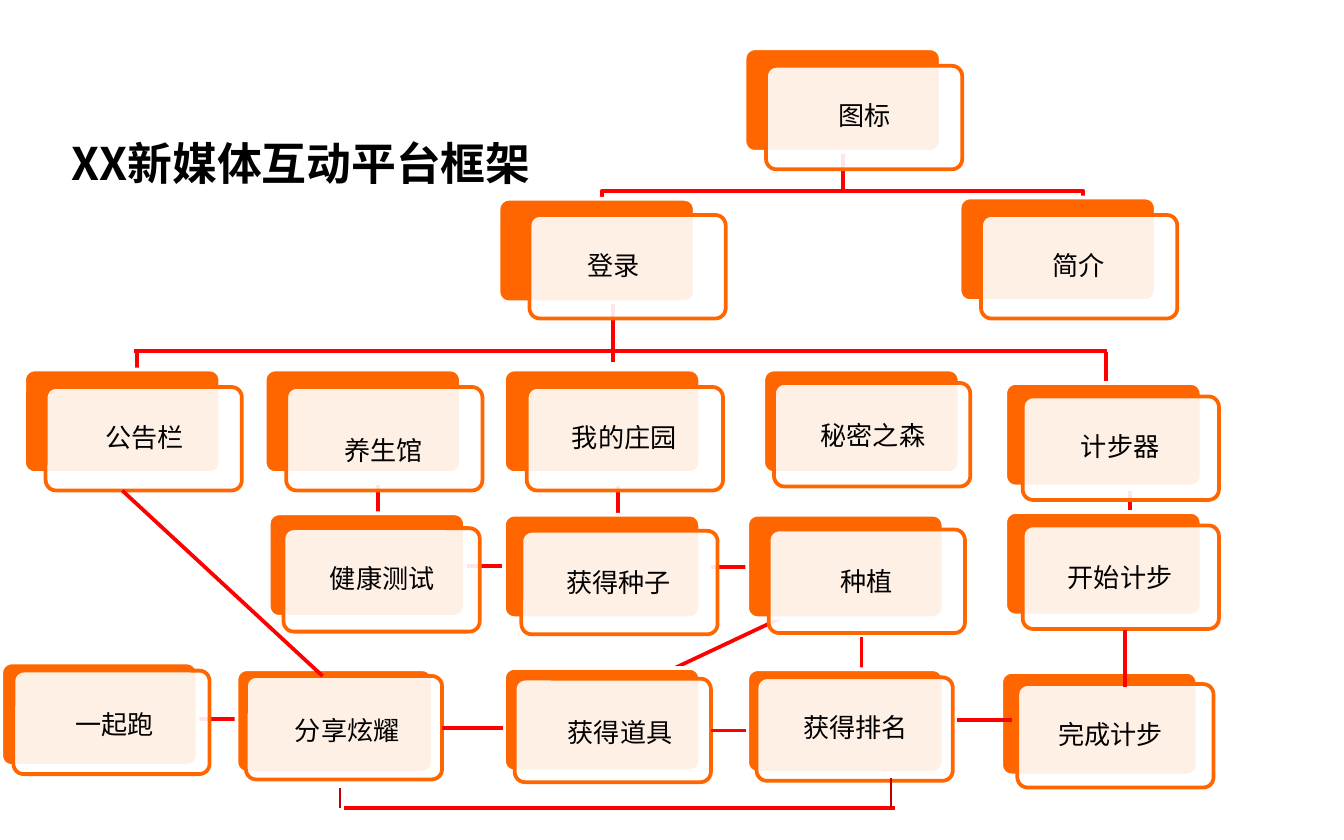
"""Build the framework slide of a new-media interaction platform."""
from lxml.etree import SubElement
from pptx import Presentation
from pptx.dml.color import RGBColor
from pptx.enum.shapes import MSO_CONNECTOR, MSO_SHAPE
from pptx.enum.text import MSO_ANCHOR, MSO_AUTO_SIZE, PP_ALIGN
from pptx.oxml.ns import qn
from pptx.util import Pt

PX = 9144
CARD_WIDTH, CARD_HEIGHT = 146, 77
LABEL_WIDTH, LABEL_HEIGHT = 141, 73
RIGHT_SIDE = 3
FONT = "Noto Sans CJK SC"
ORANGE, WHITE, BLACK, RED, DARK_RED = "FF6600", "FFFFFF", "000000", "FF0000", "C00000"

FORKS = [
    [(627, 113), (627, 142), (806, 142), (806, 156)],
    [(627, 113), (627, 142), (448, 142), (448, 156)],
]
LINKS_BEHIND = [
    (192, 535, 147, 535), (602, 450, 500, 498), (841, 365, 841, 407),
    (570, 422, 529, 422), (335, 421, 406, 421), (456, 226, 456, 269),
    (102, 260, 102, 302), (641, 474, 641, 516), (460, 362, 460, 403),
    (100, 261, 824, 261), (823, 262, 823, 305), (281, 361, 281, 404),
]
LINKS_IN_FRONT = [
    (256, 601, 666, 601), (837, 469, 837, 511),
    (753, 536, 712, 536), (240, 503, 91, 365),
]
RETURN_ENDS = [(253, 601, 253, 586), (663, 601, 663, 579)]
CARDS = [
    ("图标", (554, 36), (570, 49), (3, 2)),
    ("登录", (371, 148), (394, 160), (-8, 2)),
    ("简介", (714, 147), (730, 160), (2, 2)),
    ("公告栏", (18, 275), (34, 288), (3, 2)),
    ("养生馆", (197, 275), (213, 288), (2, 12)),
    ("我的庄园", (375, 275), (392, 288), (2, 2)),
    ("秘密之森", (568, 275), (576, 285), (3, 4)),
    ("计步器", (748, 285), (761, 295), (2, 2)),
    ("健康测试", (200, 382), (211, 393), (3, 2)),
    ("获得种子", (375, 383), (388, 395), (2, 3)),
    ("种植", (556, 383), (572, 394), (2, 3)),
    ("开始计步", (748, 381), (761, 391), (2, 3)),
    ("一起跑", (1, 493), (10, 499), (5, 5)),
    ("分享炫耀", (176, 498), (183, 503), (5, 5)),
    ("获得道具", (375, 497), (383, 505), (8, 5)),
    ("获得排名", (556, 498), (563, 504), (3, 2)),
    ("完成计步", (745, 500), (757, 509), (-1, 2)),
]
SIDE_LINKS = [("分享炫耀", 374), ("获得道具", 555)]


def color(value):
    return RGBColor.from_string(value)


def apply(target, values):
    for name, value in values.items():
        setattr(target, name, value)


class FrameworkSlide:
    def __init__(self, presentation):
        self.slide = presentation.slides.add_slide(presentation.slide_layouts[5])
        self.shapes = self.slide.shapes
        self.label_frame = {
            "word_wrap": True, "vertical_anchor": MSO_ANCHOR.MIDDLE,
            **{f"margin_{side}": 6 * PX for side in ("left", "top", "right", "bottom")},
        }
        self.label_paragraph = {
            "alignment": PP_ALIGN.CENTER, "line_spacing": 0.9, "space_after": Pt(5),
        }
        self.label_font = {"name": FONT, "size": Pt(14), "bold": False}
        self.title_frame = {
            "word_wrap": True, "vertical_anchor": MSO_ANCHOR.TOP,
            "auto_size": MSO_AUTO_SIZE.SHAPE_TO_FIT_TEXT,
        }
        self.title_paragraph = {"alignment": PP_ALIGN.LEFT}
        self.title_font = {"name": FONT, "size": Pt(24), "bold": True}

    def wording(self, frame, words, frame_format, paragraph_format, font_format):
        apply(frame, frame_format)
        paragraph = frame.paragraphs[0]
        apply(paragraph, paragraph_format)
        run = paragraph.add_run()
        run.text = words
        apply(run.font, font_format)
        run.font.color.rgb = color(BLACK)
        SubElement(run._r.get_or_add_rPr(), qn("a:ea"), typeface=FONT)

    def stroke(self, line, hue, width=2):
        line.color.rgb = color(hue)
        line.width = Pt(width)

    def title(self, words, left, top, width, height):
        heading = self.shapes.title
        apply(heading, {"left": left * PX, "top": top * PX,
                        "width": width * PX, "height": height * PX})
        self.wording(heading.text_frame, words, self.title_frame,
                     self.title_paragraph, self.title_font)

    def link(self, x1, y1, x2, y2, hue=RED, width=2, start=None):
        connector = self.shapes.add_connector(
            MSO_CONNECTOR.STRAIGHT, x1 * PX, y1 * PX, x2 * PX, y2 * PX)
        if start is not None:
            connector.begin_connect(start, RIGHT_SIDE)
            connector.end_y = connector.begin_y
        self.stroke(connector.line, hue, width)
        SubElement(connector._element.spPr, qn("a:effectLst"))

    def fork(self, points):
        builder = self.shapes.build_freeform(*points[0], scale=PX)
        builder.add_line_segments(points[1:], close=False)
        branch = builder.convert_to_shape()
        branch.shadow.inherit = False
        branch.fill.background()
        self.stroke(branch.line, RED)

    def panel(self, shapes, corner, fill, outline):
        left, top = corner
        panel = shapes.add_shape(MSO_SHAPE.ROUNDED_RECTANGLE, left * PX, top * PX,
                                 CARD_WIDTH * PX, CARD_HEIGHT * PX)
        panel.adjustments[0] = 0.1
        panel.shadow.inherit = False
        panel.fill.solid()
        panel.fill.fore_color.rgb = color(fill)
        self.stroke(panel.line, outline)
        return panel

    def card(self, words, back, front, shift):
        self.panel(self.shapes, back, ORANGE, WHITE)
        group = self.shapes.add_group_shape()
        face = self.panel(group.shapes, front, WHITE, ORANGE)
        face_color = face._element.spPr.find(qn("a:solidFill"))[0]
        SubElement(face_color, qn("a:alpha"), val="90000")
        left, top = (place + offset for place, offset in zip(front, shift))
        label = group.shapes.add_textbox(left * PX, top * PX,
                                         LABEL_WIDTH * PX, LABEL_HEIGHT * PX)
        self.wording(label.text_frame, words, self.label_frame,
                     self.label_paragraph, self.label_font)
        return face


def main():
    presentation = Presentation()
    apply(presentation, {"slide_width": 1000 * PX, "slide_height": 625 * PX})
    framework = FrameworkSlide(presentation)
    framework.title("XX新媒体互动平台框架", 43, 96, 362, 91)
    for ends in LINKS_BEHIND:
        framework.link(*ends)
    for points in FORKS:
        framework.fork(points)
    faces = {card[0]: framework.card(*card) for card in CARDS}
    for name, end in SIDE_LINKS:
        framework.link(0, 0, end, 0, start=faces[name])
    for ends in LINKS_IN_FRONT:
        framework.link(*ends)
    for ends in RETURN_ENDS:
        framework.link(*ends, hue=DARK_RED, width=1.5)
    presentation.save("out.pptx")


if __name__ == "__main__":
    main()
